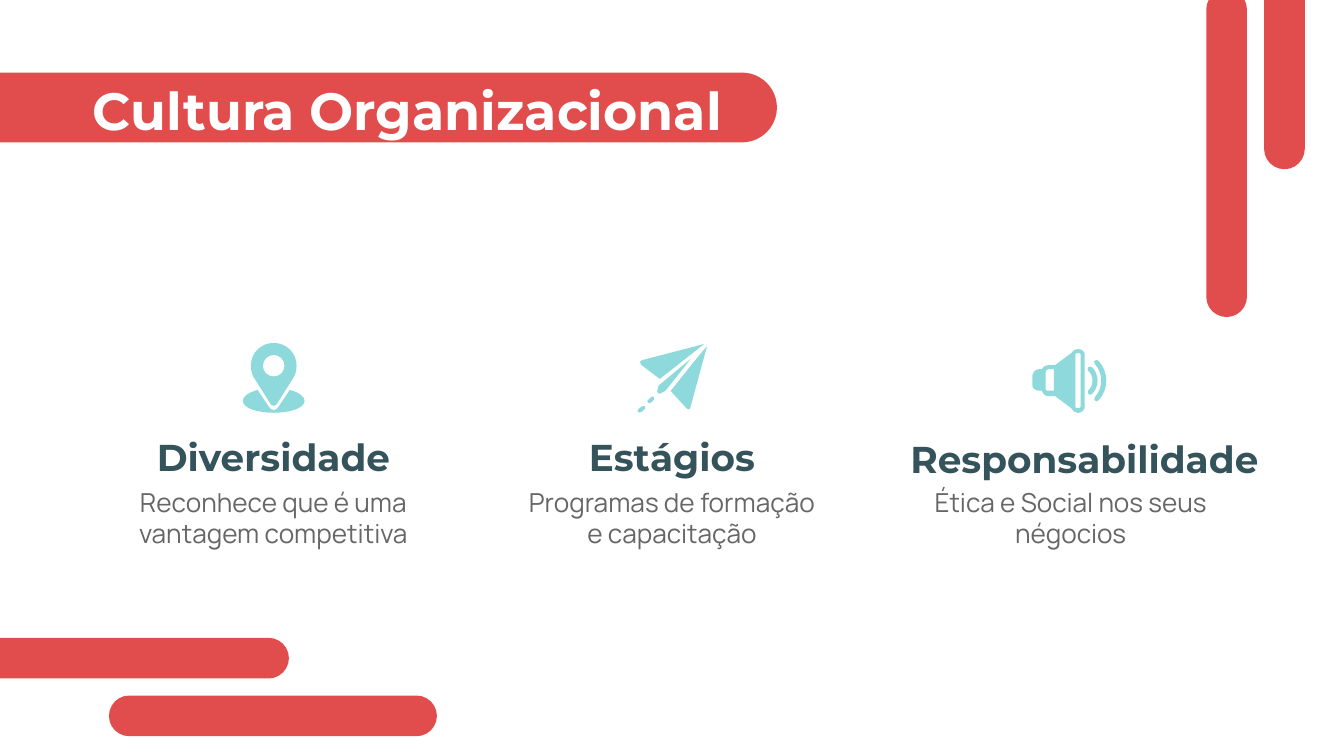
from lxml import etree
from pptx import Presentation
from pptx.dml.color import RGBColor
from pptx.enum.shapes import MSO_SHAPE
from pptx.enum.text import MSO_ANCHOR, MSO_AUTO_SIZE, PP_ALIGN
from pptx.oxml.ns import qn
from pptx.util import Pt

ROUNDED = MSO_SHAPE.ROUNDED_RECTANGLE
TOP = MSO_ANCHOR.TOP
NO_AUTOFIT = MSO_AUTO_SIZE.NONE
LEFT, CENTER = PP_ALIGN.LEFT, PP_ALIGN.CENTER

RED, AQUA, TEAL, GRAY, WHITE = "E14D4D", "8ED9DC", "35535B", "666666", "FFFFFF"
HEADING_FONT, BODY_FONT = "Montserrat", "Manrope"

ICON_UNIT = 0.72  # points per unit of the icon outlines

BARS = [  # left, top, width, height
    (-20.9, 341.7, 175.7, 21.8),
    (58.4, 372.6, 175.7, 21.8),
    (677.2, -85, 21.8, 175.7),
    (646.2, -5.8, 21.8, 175.7),
    (-30.9, 38.9, 447.1, 37.4),
]

PIN = [
    "M 23 9 C 27.5 9 31 12.5 31 17 C 31 21.5 27.5 25 23 25 C 18.5 25 15 21.5 15 17 "
    "C 15 12.5 18.5 9 23 9 M 23 0 C 14 0 6 7 6 17 C 6 21 7 24 9 27 L 21 46 "
    "C 22 47.3 24 47.3 25 46 L 37 27 C 39 24 40 21 40 17 C 40 7 32 0 23 0",
    "M 11 35 C 4 37 0 40 0 43 C 0 49 12 52 23 52 C 34 52 46 49 46 43 "
    "C 46 40 42 37 35 35 L 27 47 C 26 49 24.5 50 23 50 C 21.5 50 20 49 19 47",
]
PLANE = [
    "M 5 46 C 4.5 46 4 46 3.5 46.5 L 1 48.5 C -0.5 50 0.5 51 2 51 "
    "C 3 51 3.5 50.5 4 50 L 6 48 C 6.5 47 6 46 5 46",
    "M 11.5 39 C 11 39 10.5 39 10 40 L 8 42 C 7 43 8 44 9 44 "
    "C 9.5 44 10 44 10.5 43.5 L 12.5 41.5 C 13 40 12.5 39 11.5 39",
    "M 50 0 L 4 12 C 2 12.5 1.5 14 3 15.5 L 17 26",
    "M 52 2 C 51 2 26 34 25 35 L 37 48 C 37.5 49 39 49 39.5 48",
    "M 40 11 L 16 31 L 15 35 C 15 36.5 15.5 37 17 37 L 21 35",
]
SPEAKER = [
    "M 48 8 C 46 8 45.5 9.5 46.5 11 C 53 18 53 29 46.5 36 C 45.5 37.5 46.5 39 48 39 "
    "C 48.6 39 49 38.7 49.5 38 C 57 30 57 17 49.5 9 C 49 8.4 48.6 8 48 8",
    "M 43 13 C 41 13 40.5 14.5 41.5 16 C 46 20 46 27 41.5 31 C 40.5 32.5 41.5 34 43 34 "
    "C 43.6 34 44 34 44.5 33.5 C 50 28 50 19 44.5 13.5 C 44 13 43.6 13 43 13",
    "M 16 15 L 16 31 L 12 31 C 11 31 10 31 10 30 L 10 17 C 10 16 11 15 12 15 "
    "M 34 3 C 35 3 36 3 36 4 L 36 43 C 36 44 35 44 34 44 C 33 44 32 44 32 43 L 32 4 "
    "C 32 3 33 3 34 3 "
    "M 34 0 C 32 0 30 1 29 3 L 17 12 L 12 12 C 9 12 8 14 7 15 L 5 15 C 2 15 0 18 0 20 "
    "L 0 27 C 0 29 2 31 5 31 L 7 31 C 8 33 9 35 12 35 L 17 35 L 29 44 "
    "C 30 46 32 47.5 34 47.5 C 37 47.5 39 45 39 43 L 39 4 C 39 2 37 0 34 0",
]

VALUES = [  # heading, its box, body, its left, icon outlines, icon left and top
    ("Diversidade", (73.8, 225.4, 145.4, 28), "Reconhece que é uma vantagem competitiva",
     58.7, PIN, (130.1, 183.7)),
    ("Estágios", (287.3, 225.4, 145.4, 28), "Programas de formação e capacitação",
     272.2, PLANE, (341.3, 184.3)),
    ("Responsabilidade", (478.4, 226.6, 205.2, 28), "Ética e Social nos seus négocios",
     485.8, SPEAKER, (553, 187)),
]


def rgb(hex_color):
    return RGBColor.from_string(hex_color)


def paint(shape, color):
    shape.shadow.inherit = False
    shape.fill.solid()
    shape.fill.fore_color.rgb = rgb(color)
    shape.line.fill.background()


def add_bar(slide, box):
    bar = slide.shapes.add_shape(ROUNDED, *map(Pt, box))
    bar.adjustments[0] = 0.5
    paint(bar, RED)


def write(holder, text, *, size, color, font=HEADING_FONT, bold=False, align=CENTER):
    frame = holder.text_frame
    frame.word_wrap = True
    frame.auto_size = NO_AUTOFIT
    frame.vertical_anchor = TOP
    frame.margin_left = frame.margin_right = frame.margin_top = frame.margin_bottom = Pt(7.2)
    paragraph = frame.paragraphs[0]
    paragraph.alignment = align
    paragraph.line_spacing = 1.0
    run = paragraph.add_run()
    run.text = text
    run.font.name, run.font.size, run.font.bold = font, Pt(size), bold
    run.font.color.rgb = rgb(color)


def add_title(slide, text, box):
    title = slide.shapes.title
    title.left, title.top, title.width, title.height = map(Pt, box)
    write(title, text, size=28, color=WHITE, bold=True, align=LEFT)


def add_text(slide, text, box, **style):
    write(slide.shapes.add_textbox(*map(Pt, box)), text, **style)


def read_outline(outline):
    """Turn M, L and C commands into (letter, points) pairs."""
    for command in outline.replace("L", "|L").replace("C", "|C").replace("M", "|M").split("|")[1:]:
        numbers = [float(n) for n in command[1:].split()]
        yield command[0], list(zip(numbers[::2], numbers[1::2]))


def bend(shape, curve_starts):
    """Join the three line segments from each start into one cubic curve."""
    segments = list(shape.element.iter(qn("a:lnTo")))
    for start in curve_starts:
        curve = etree.Element(qn("a:cubicBezTo"))
        segments[start].addprevious(curve)
        for segment in segments[start:start + 3]:
            curve.append(segment[0])
            segment.getparent().remove(segment)


def add_outline(slide, outline, left, top):
    contours, curve_starts, segment_count = [], [], 0
    for letter, points in read_outline(outline):
        placed = [(Pt(left + x * ICON_UNIT), Pt(top + y * ICON_UNIT)) for x, y in points]
        if letter == "M":
            contours.append(placed)
            continue
        if letter == "C":
            curve_starts.append(segment_count)
        contours[-1] += placed
        segment_count += len(placed)
    builder = slide.shapes.build_freeform(*contours[0][0])
    for number, contour in enumerate(contours):
        if number:
            builder.move_to(*contour[0])
        builder.add_line_segments(contour[1:], close=True)
    shape = builder.convert_to_shape()
    bend(shape, curve_starts)
    paint(shape, AQUA)


def main():
    deck = Presentation()
    deck.slide_width, deck.slide_height = Pt(720), Pt(405)
    slide = deck.slides.add_slide(deck.slide_layouts[5])
    slide.background.fill.solid()
    slide.background.fill.fore_color.rgb = rgb(WHITE)
    for box in BARS:
        add_bar(slide, box)
    # The title goes in front of its bar.
    slide.shapes.element.append(slide.shapes.title.element)
    add_title(slide, "Cultura Organizacional", (42.5, 34.6, 373.7, 45.4))
    for heading, heading_box, body, body_left, outlines, icon_place in VALUES:
        add_text(slide, heading, heading_box, size=20, color=TEAL, bold=True)
        add_text(slide, body, (body_left, 253.4, 175.7, 48.2),
                 size=14, color=GRAY, font=BODY_FONT)
        for outline in outlines:
            add_outline(slide, outline, *icon_place)
    deck.save("out.pptx")


if __name__ == "__main__":
    main()
